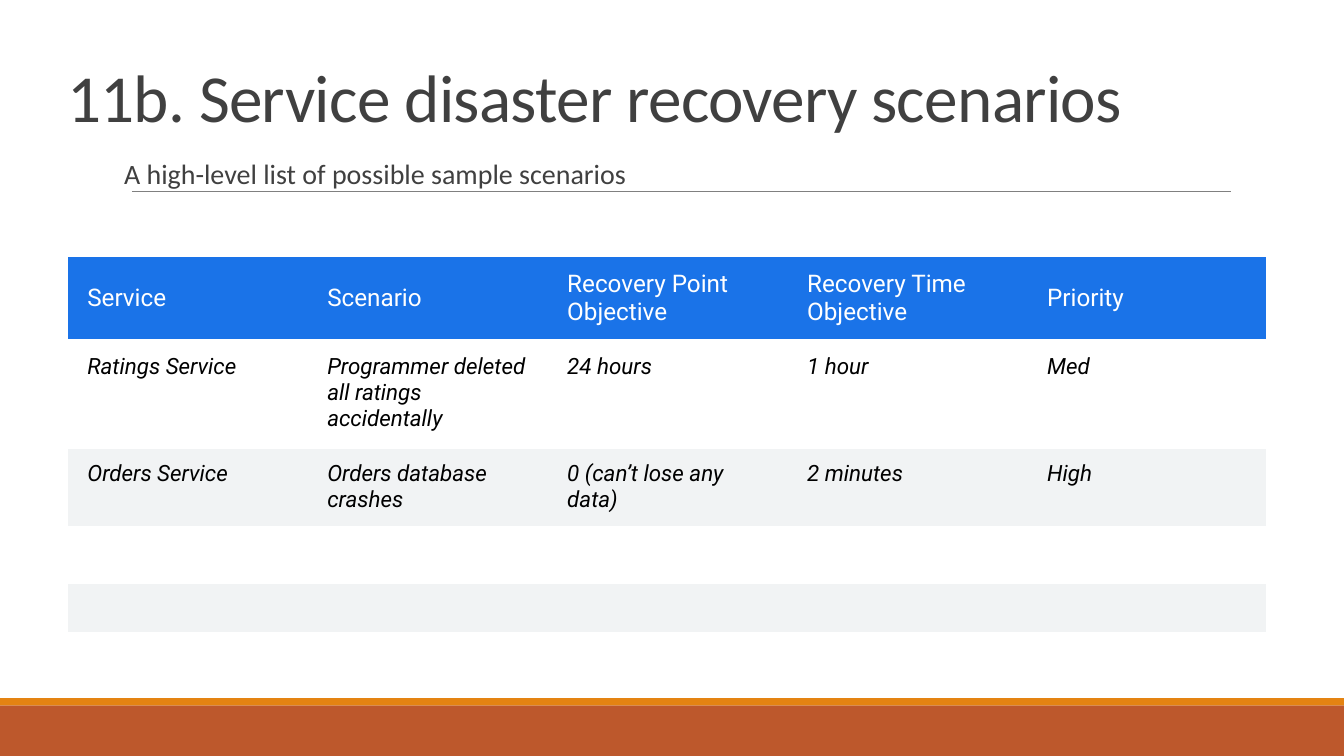
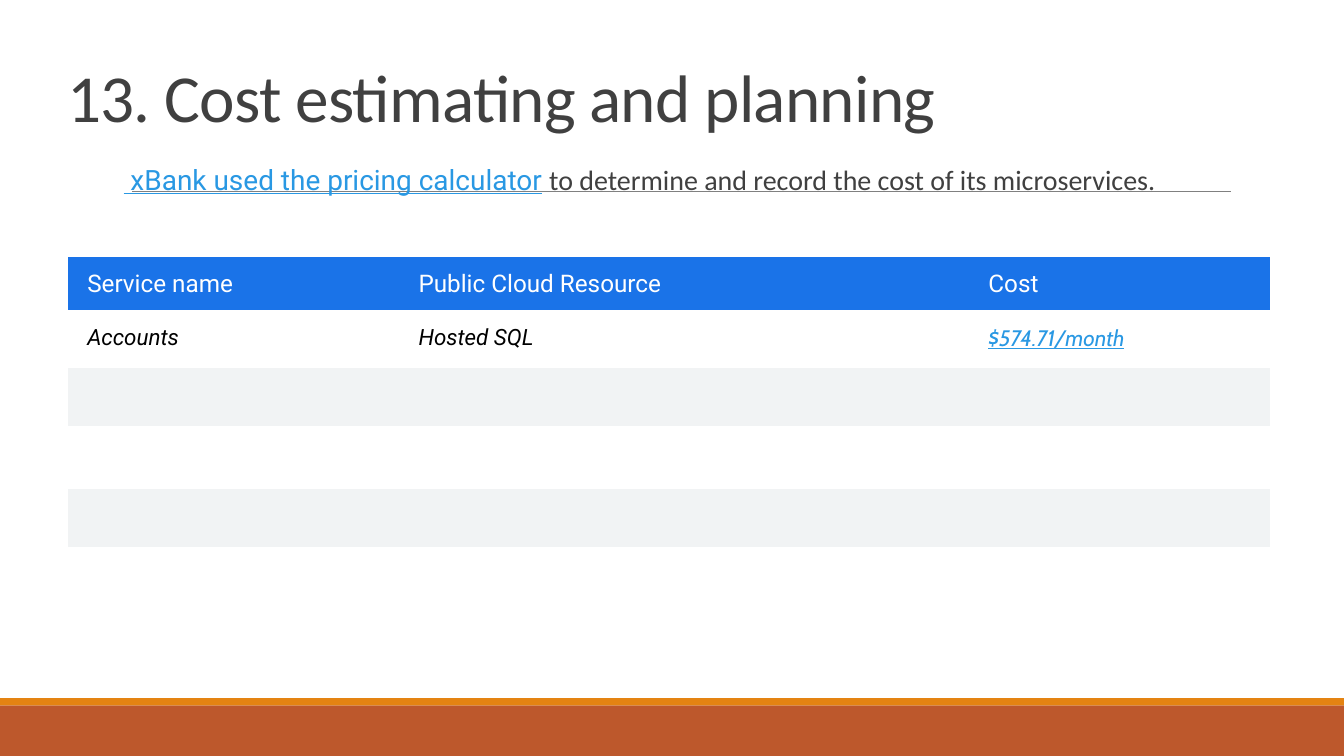
"""Build two slides: disaster recovery scenarios and cost planning."""
from lxml import etree
from pptx import Presentation
from pptx.dml.color import RGBColor
from pptx.enum.shapes import MSO_CONNECTOR, MSO_SHAPE
from pptx.enum.text import MSO_ANCHOR, MSO_AUTO_SIZE, PP_ALIGN
from pptx.oxml.ns import qn
from pptx.util import Cm, Pt

RECT = MSO_SHAPE.RECTANGLE
LINE = MSO_CONNECTOR.STRAIGHT
TOP, MIDDLE = MSO_ANCHOR.TOP, MSO_ANCHOR.MIDDLE
FIXED = MSO_AUTO_SIZE.NONE
LEFT = PP_ALIGN.LEFT

WHITE = RGBColor(0xFF, 0xFF, 0xFF)
BLACK = RGBColor(0x00, 0x00, 0x00)
INK = RGBColor(0x40, 0x40, 0x40)
RULE = RGBColor(0x80, 0x80, 0x80)
RUST = RGBColor(0xBD, 0x58, 0x2C)
AMBER = RGBColor(0xE4, 0x83, 0x12)
HEAD = RGBColor(0x1A, 0x73, 0xE8)
STRIPE = RGBColor(0xF1, 0xF3, 0xF4)
LINK = RGBColor(0x29, 0x98, 0xE3)

MAIN, GRID, ALT = "Calibri", "Roboto", "Cabin"
WIDE, HIGH = 50.8, 28.58


def style(font, name, size, color, italic=None, line=None):
    font.name, font.size = name, Pt(size)
    font.color.rgb = color
    font.italic, font.underline = italic, line


def border(cell, side, shown):
    edge = etree.SubElement(cell._tc.get_or_add_tcPr(), qn("a:ln" + side))
    if not shown:
        etree.SubElement(edge, qn("a:noFill"))
        return
    edge.set("w", str(Pt(3)))
    fill = etree.SubElement(edge, qn("a:solidFill"))
    etree.SubElement(fill, qn("a:srgbClr")).set("val", str(WHITE))


class Deck:
    """Hold the shared style and the current slide."""

    def __init__(self):
        self.file = Presentation()
        self.file.slide_width, self.file.slide_height = Cm(WIDE), Cm(HIGH)
        self.base = self.file.slide_layouts[1]
        self.slide = None

    def start(self, title):
        first = self.slide is None
        self.slide = self.file.slides.add_slide(self.base)
        if first:
            self.frame()
        para = self.place(self.slide.shapes.title, 2.54, 2.57, 45.3, 5.56, 0.85)
        para.text = title
        style(para.font, MAIN, 72, INK)
        para.runs[0]._r.get_or_add_rPr().set("spc", "-80")

    def frame(self):
        parts = [self.band(26.67, 1.91, RUST), self.band(26.39, 0.28, AMBER),
                 self.rule(4.98, 46.51, 7.24)]
        for part in parts:
            self.base.shapes.element.append(part.element)

    def band(self, top, high, color):
        band = self.slide.shapes.add_shape(RECT, 0, Cm(top), Cm(WIDE), Cm(high))
        band.shadow.inherit = False
        band.fill.solid()
        band.fill.fore_color.rgb = color
        band.line.fill.background()
        return band

    def rule(self, left, right, top):
        rule = self.slide.shapes.add_connector(LINE, Cm(left), Cm(top), Cm(right), Cm(top))
        rule.line.color.rgb = RULE
        rule.line.width = Pt(0.5)
        etree.SubElement(rule.element.spPr, qn("a:effectLst"))
        return rule

    def place(self, box, left, top, wide, high, space):
        box.left, box.top, box.width, box.height = map(Cm, (left, top, wide, high))
        frame = box.text_frame
        frame.margin_left = frame.margin_top = frame.margin_bottom = 0
        frame.margin_right = 0
        frame.vertical_anchor, frame.auto_size = TOP, FIXED
        frame.word_wrap = True
        para = frame.paragraphs[0]
        para.alignment, para.line_spacing = LEFT, space
        para.space_before = Pt(0)
        return para

    def lead(self, left, top, wide, high, *runs):
        para = self.place(self.slide.placeholders[1], left, top, wide, high, 0.9)
        props = para._p.get_or_add_pPr()
        props.set("marL", "0")
        props.set("indent", "0")
        etree.SubElement(props, qn("a:buNone"))
        for text, name, color, line in runs:
            run = para.add_run()
            run.text = text
            style(run.font, name, 30, color, line=line)

    def table(self, rows, cols, highs):
        table = self.slide.shapes.add_table(
            len(highs), len(cols), Cm(2.54), Cm(9.68),
            Cm(sum(cols)), Cm(sum(highs))).table
        table.first_row = table.horz_banding = False
        for col, wide in zip(table.columns, cols):
            col.width = Cm(wide)
        for row, high in zip(table.rows, highs):
            row.height = Cm(high)
        for y in range(len(highs)):
            texts = rows[y] if y < len(rows) else [""] * len(cols)
            for x, text in enumerate(texts):
                self.cell(table.cell(y, x), text, y, x == 0, x == len(cols) - 1)
        return table

    def cell(self, cell, text, y, first, last):
        cell.margin_left = Cm(0.76)
        cell.margin_right = cell.margin_top = cell.margin_bottom = Cm(0.51)
        cell.vertical_anchor = TOP if y else MIDDLE
        for side, shown in zip("LRTB", (first, last, True, True)):
            border(cell, side, shown)
        if y % 2:
            cell.fill.background()
        else:
            cell.fill.solid()
            cell.fill.fore_color.rgb = STRIPE if y else HEAD
        if text:
            cell.text = text
            font = cell.text_frame.paragraphs[0].font
            if y:
                style(font, GRID, 24, BLACK, italic=True)
            else:
                style(font, GRID, 26, WHITE)


def main():
    deck = Deck()

    deck.start("11b. Service disaster recovery scenarios")
    deck.lead(4.45, 6.07, 46.35, 2.03,
              (" A high-level list of possible sample scenarios", MAIN, INK, None))
    deck.table([
        ("Service", "Scenario", "Recovery Point Objective",
         "Recovery Time Objective", "Priority"),
        ("Ratings Service", "Programmer deleted all ratings accidentally",
         "24 hours", "1 hour", "Med"),
        ("Orders Service", "Orders database crashes",
         "0 (can’t lose any data)", "2 minutes", "High"),
    ], [9.07] * 5, [3.12, 4.06, 2.95, 2.1, 1.93])

    deck.start("13. Cost estimating and planning")
    deck.lead(4.67, 6.3, 43.38, 1.73,
              (" xBank used the pricing calculator", GRID, LINK, True),
              (" ", GRID, HEAD, None),
              ("to determine and record the cost of its microservices.", MAIN, INK, None))
    costs = deck.table([
        ("Service name", "Public Cloud Resource", "Cost"),
        ("Accounts", "Hosted SQL", "$574.71/month"),
    ], [12.52, 21.54, 11.46], [2.08, 2.08, 2.28, 2.3, 2.3, 2.24])
    price = costs.cell(1, 2).text_frame.paragraphs[0]
    style(price.font, ALT, 24, LINK, italic=True, line=True)

    deck.file.save("out.pptx")


if __name__ == "__main__":
    main()
